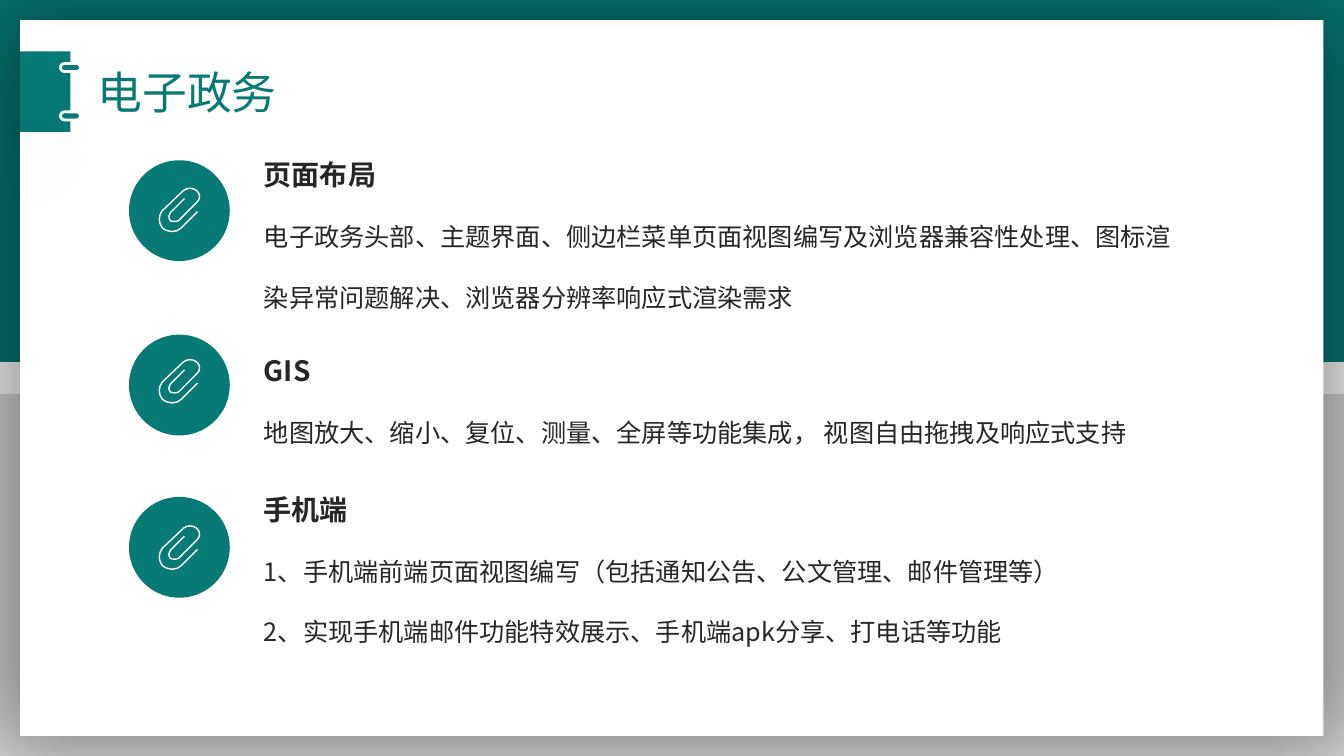
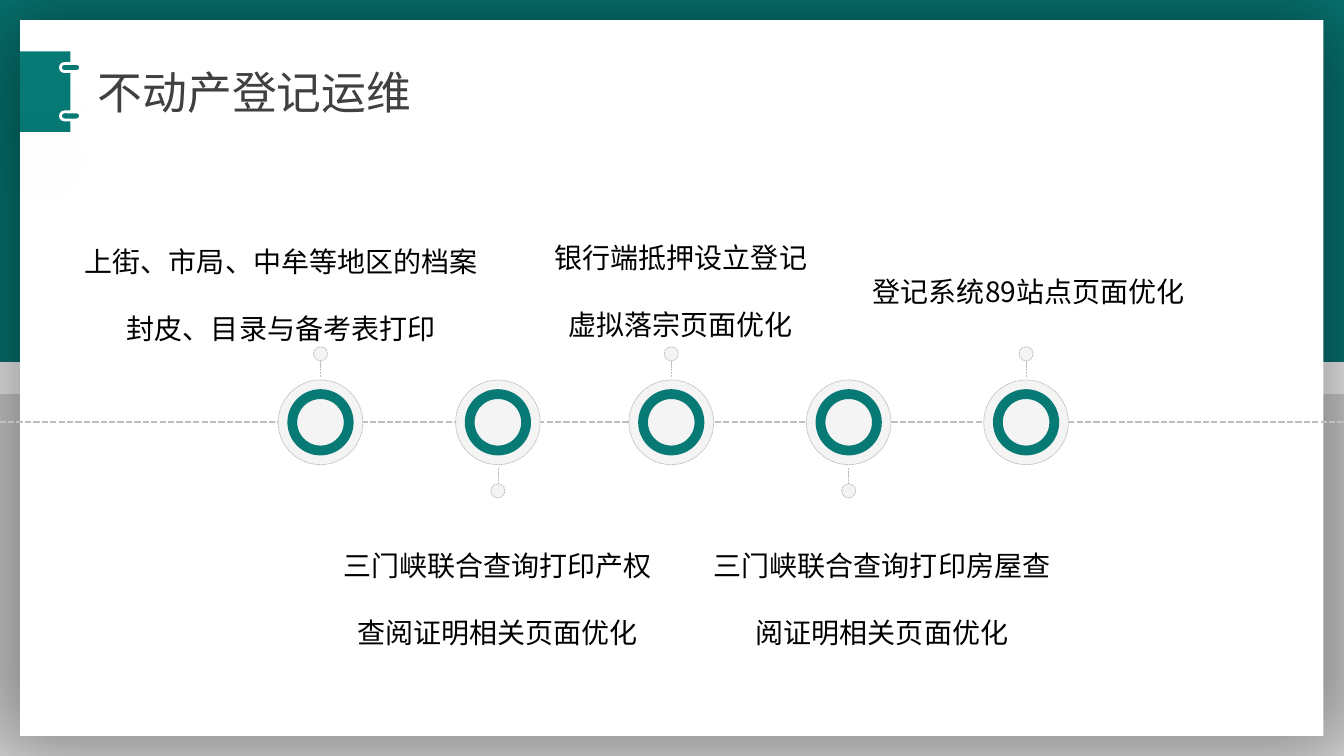
"""Build two project slides: an e-government overview and a registration timeline."""
import lxml.etree
import pptx
import pptx.dml.color
import pptx.enum.dml
import pptx.enum.shapes
import pptx.enum.text
import pptx.oxml.ns
import pptx.util

PX = 9144
FONT = "Noto Sans CJK SC"
TEAL, GREY, WHITE = "077A76", "DADADA", "FFFFFF"
PALE, RULE, INK, BLACK = "F4F4F4", "BFBFBF", "262626", "000000"
RECT = pptx.enum.shapes.MSO_SHAPE.RECTANGLE
PILL = pptx.enum.shapes.MSO_SHAPE.ROUNDED_RECTANGLE
OVAL = pptx.enum.shapes.MSO_SHAPE.OVAL
STRAIGHT = pptx.enum.shapes.MSO_CONNECTOR.STRAIGHT
LEFT, CENTER = pptx.enum.text.PP_ALIGN.LEFT, pptx.enum.text.PP_ALIGN.CENTER
qn = pptx.oxml.ns.qn


def paint(item, fill=None, line=None, weight=1, dashed=False, shadow=None):
    """Colour a shape or connector; shadow is alpha %, blur pt, distance pt, angle, scale %."""
    if fill:
        item.fill.solid()
        item.fill.fore_color.rgb = pptx.dml.color.RGBColor.from_string(fill)
    elif hasattr(item, "fill"):
        item.fill.background()
    if line:
        item.line.color.rgb = pptx.dml.color.RGBColor.from_string(line)
        item.line.width = pptx.util.Pt(weight)
        if dashed:
            item.line.dash_style = pptx.enum.dml.MSO_LINE.SQUARE_DOT
    else:
        item.line.fill.background()
    effects = lxml.etree.SubElement(item.element.spPr, qn("a:effectLst"))
    if shadow:
        alpha, blur, distance, angle, scale = shadow
        outer = lxml.etree.SubElement(
            effects, qn("a:outerShdw"), blurRad=str(blur * 12700), dist=str(distance * 12700),
            dir=str(angle * 60000), sx=str(scale * 1000), sy=str(scale * 1000),
            algn="ctr", rotWithShape="0")
        shade = lxml.etree.SubElement(outer, qn("a:srgbClr"), val=BLACK)
        lxml.etree.SubElement(shade, qn("a:alpha"), val=str(alpha * 1000))


def write(slide, box, lines, size=20, body_size=18, color=INK, heading_bold=False,
          align=LEFT, spacing=1.0):
    """Write paragraphs, the first one as the heading, into a text box."""
    frame = slide.shapes.add_textbox(*[n * PX for n in box]).text_frame
    frame.word_wrap = True
    for index, words in enumerate(lines):
        paragraph = frame.paragraphs[0] if index == 0 else frame.add_paragraph()
        paragraph.alignment = align
        paragraph.line_spacing = spacing
        run = paragraph.add_run()
        run.text = words
        run.font.size = pptx.util.Pt(body_size if index else size)
        run.font.bold = heading_bold and index == 0
        run.font.color.rgb = pptx.dml.color.RGBColor.from_string(color)
        run.font.name = FONT
        east_asian = lxml.etree.SubElement(run.font._element, qn("a:ea"))
        east_asian.set("typeface", FONT)


deck = pptx.Presentation()
deck.slide_width = 12192000
deck.slide_height = 6858000

slides = []
for title, title_color, title_width in [("电子政务", TEAL, 297), ("不动产登记运维", "404040", 448)]:
    slide = deck.slides.add_slide(deck.slide_layouts[6])
    for box, fill, shadow in [
        ((0, 0, 1334, 359), TEAL, None),
        ((0, 391, 1334, 359), GREY, None),
        ((20, 20, 1293, 710), WHITE, (40, 63, 0, 260, 104)),
        ((20, 51, 50, 80), TEAL, None),
    ]:
        paint(slide.shapes.add_shape(RECT, *[n * PX for n in box]), fill, shadow=shadow)
    for top in (63, 111):
        ring = slide.shapes.add_shape(PILL, 60 * PX, top * PX, 20 * PX, 8 * PX)
        ring.adjustments[0] = 0.5
        paint(ring, TEAL, WHITE, 2, shadow=(13, 45, 38, 125, 100))
    write(slide, (87, 59, title_width, 64), [title], size=32, color=title_color)
    slides.append(slide)

overview, timeline = slides

clip_start = (39, 24)
clip_curves = [
    [(23, 40), (23, 40), (23, 40)],
    [(18, 45), (10, 45), (4, 40)],
    [(0, 35), (0, 28), (4, 23)],
    [(25, 3), (25, 3), (25, 3)],
    [(29, 0), (34, 0), (38, 3)],
    [(42, 6), (42, 12), (38, 15)],
    [(20, 33), (20, 33), (20, 33)],
    [(18, 34), (14, 34), (12, 33)],
    [(10, 30), (10, 27), (12, 25)],
    [(26, 11), (26, 11), (26, 11)],
]

sections = [
    (128, 159, 186, (252, 118, 944, 199),
     ["页面布局",
      "电子政务头部、主题界面、侧边栏菜单页面视图编写及浏览器兼容性处理、图标渲染异常问题解决、浏览器分辨率响应式渲染需求"]),
    (128, 332, 356, (252, 312, 914, 138),
     ["GIS", "地图放大、缩小、复位、测量、全屏等功能集成， 视图自由拖拽及响应式支持"]),
    (128, 493, 521, (252, 450, 914, 199),
     ["手机端",
      "1、手机端前端页面视图编写（包括通知公告、公文管理、邮件管理等）",
      "2、实现手机端邮件功能特效展示、手机端apk分享、打电话等功能"]),
]
for badge_left, badge_top, clip_top, box, lines in sections:
    badge = overview.shapes.add_shape(OVAL, badge_left * PX, badge_top * PX, 100 * PX, 100 * PX)
    paint(badge, TEAL)
    outline = [((157 + x) * PX, (clip_top + y) * PX)
               for x, y in [clip_start, *sum(clip_curves, [])]]
    builder = overview.shapes.build_freeform(*outline[0])
    builder.add_line_segments(outline[1:], close=False)
    clip = builder.convert_to_shape()
    segments = list(clip.element.iter(qn("a:lnTo")))
    for first in range(0, len(segments), 3):
        bend = lxml.etree.Element(qn("a:cubicBezTo"))
        segments[first].addprevious(bend)
        for segment in segments[first:first + 3]:
            bend.append(segment[0])
            segment.getparent().remove(segment)
    paint(clip, line=WHITE)
    write(overview, box, lines, heading_bold=True, spacing=2.0)

AXIS = 419
axis = timeline.shapes.add_connector(STRAIGHT, 1333 * PX, AXIS * PX, 0, AXIS * PX)
paint(axis, line=RULE, weight=1.5, dashed=True)

milestones = [
    (318, -1, (71, 204, 416, 145), "上街、市局、中牟等地区的档案封皮、目录与备考表打印"),
    (494, 1, (318, 506, 351, 135), "三门峡联合查询打印产权查阅证明相关页面优化"),
    (666, -1, (536, 200, 279, 145), "银行端抵押设立登记虚拟落宗页面优化"),
    (842, 1, (694, 506, 362, 170), "三门峡联合查询打印房屋查阅证明相关页面优化"),
    (1018, -1, (842, 234, 357, 68), "登记系统89站点页面优化"),
]
for center, side, box, words in milestones:
    stem = timeline.shapes.add_connector(STRAIGHT, center * PX, (AXIS + side * 45) * PX,
                                         center * PX, (AXIS + side * 61) * PX)
    paint(stem, line=RULE, weight=0.5, dashed=True)
    for middle, radius, line, weight, dashed in [
        (AXIS + side * 68, 7, RULE, 0.5, True),
        (AXIS, 42, RULE, 0.5, True),
        (AXIS, 28, TEAL, 7, False),
    ]:
        circle = timeline.shapes.add_shape(OVAL, (center - radius) * PX, (middle - radius) * PX,
                                           2 * radius * PX, 2 * radius * PX)
        paint(circle, PALE, line, weight, dashed)
    write(timeline, box, [words], color=BLACK, align=CENTER, spacing=2.0)

deck.save("out.pptx")
